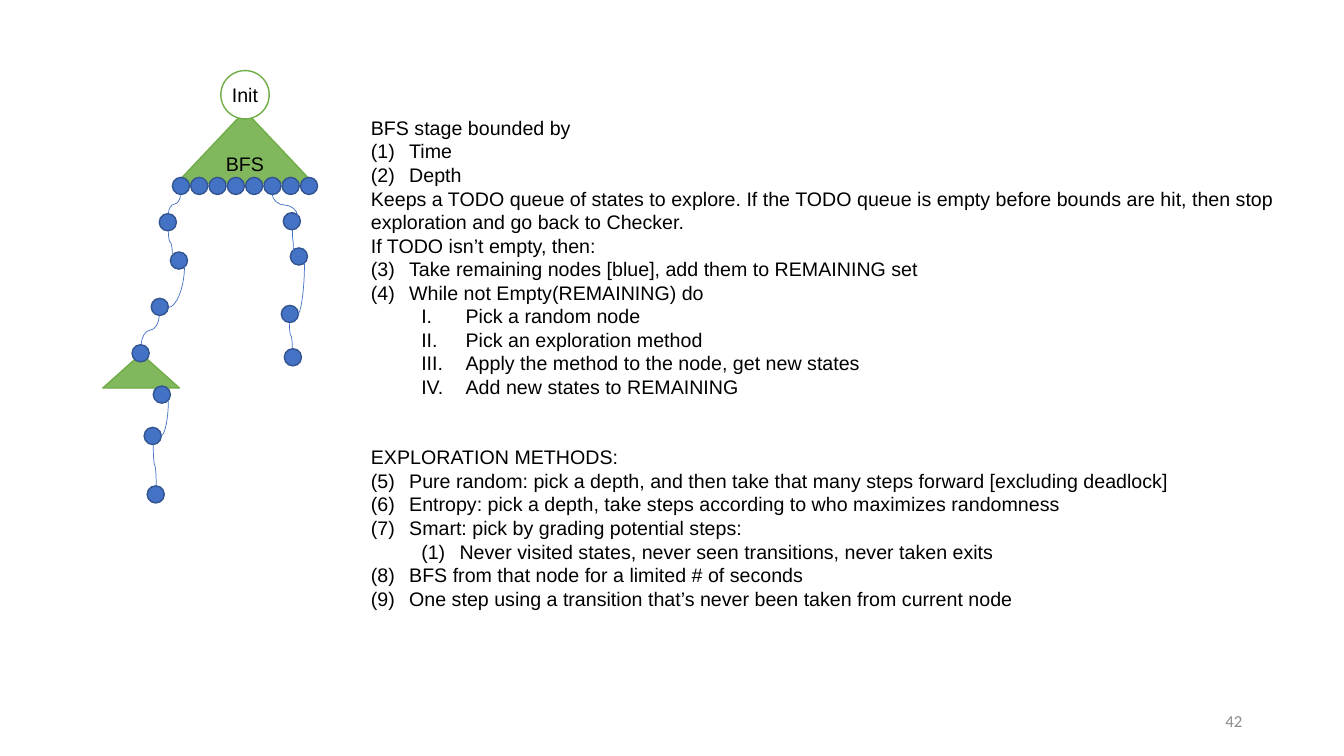
from pptx import Presentation
from pptx.dml.color import RGBColor
from pptx.enum import shapes, text
from pptx.oxml import ns
from pptx.util import Inches, Pt
from lxml import etree

KIND = shapes.MSO_SHAPE
ALIGN = text.PP_ALIGN
GREEN, BLUE = ("81B75D", "70AD47"), ("4472C4", "325491")
DOT = 0.17

deck = Presentation()
deck.slide_width, deck.slide_height = Inches(13.33), Inches(7.5)
slide = deck.slides.add_slide(deck.slide_layouts[6])
items = slide.shapes


def color(target, code):
    """Give a fill or font a solid hex color."""
    if hasattr(target, "solid"):
        target.solid()
        target.fore_color.rgb = RGBColor.from_string(code)
    else:
        target.color.rgb = RGBColor.from_string(code)


def draw(kind, box, paint):
    """Add a preset shape with a fill and a thin outline."""
    item = items.add_shape(kind, *map(Inches, box))
    item.shadow.inherit = False
    color(item.fill, paint[0])
    color(item.line.fill, paint[1])
    item.line.width = Pt(1)


# Search trees and the start node
draw(KIND.ISOSCELES_TRIANGLE, (1.02, 3.51, 0.76, 0.34), GREEN)
draw(KIND.ISOSCELES_TRIANGLE, (1.75, 1.1, 1.36, 0.72), GREEN)
draw(KIND.OVAL, (2.19, 0.7, 0.48, 0.48), ("FFFFFF", GREEN[1]))

# Frontier row, then the left, right and lower walks
row = [(1.71 + 1.27 * i / 7, 1.76) for i in range(8)]
left = [(1.58, 2.12), (1.69, 2.5), (1.5, 2.96), (1.31, 3.42)]
right = [(2.81, 2.11), (2.88, 2.46), (2.79, 3.03), (2.82, 3.46)]
lower = [(1.52, 3.83), (1.43, 4.24), (1.46, 4.82)]
for x, y in row + left + right + lower:
    draw(KIND.OVAL, (x, y, DOT, DOT), BLUE)

# Curves leave downwards: a bend (2) ends sideways, an S (3) ends downwards
curves = [
    (1.79, 1.93, 1.67, 2.12, 3), (1.67, 2.29, 1.71, 2.52, 3),
    (1.83, 2.64, 1.67, 3.05, 2), (1.58, 3.13, 1.4, 3.42, 3),
    (2.9, 2.28, 2.91, 2.49, 3), (3.02, 2.61, 2.95, 3.12, 2),
    (2.87, 3.2, 2.9, 3.46, 3), (2.7, 1.93, 2.95, 2.14, 3),
    (1.67, 3.97, 1.6, 4.32, 2), (1.52, 4.41, 1.55, 4.82, 3),
]
for x1, y1, x2, y2, bend in curves:
    # The frame is turned a quarter, so its width is the drop
    side = 1 if x2 > x1 else -1
    midx, midy = (x1 + x2) / 2, (y1 + y2) / 2
    wide, high = side * (y2 - y1) / 2, abs(x2 - x1) / 2
    ends = (midx + wide, midy - high, midx - wide, midy + high)
    curve = items.add_connector(shapes.MSO_CONNECTOR.CURVE, *map(Inches, ends))
    color(curve.line.fill, BLUE[0])
    curve.line.width = Pt(0.5)
    props = curve._element.spPr
    turn = 270 if side > 0 else 90
    props.find(ns.qn("a:xfrm")).set("rot", str(turn * 60000))
    props.find(ns.qn("a:prstGeom")).set("prst", f"curvedConnector{bend}")
    etree.SubElement(props, ns.qn("a:effectLst"))

# List styles: level, left margin, hanging indent, numbering
STYLES = {
    "plain": (0, 0, 0, None),
    "step": (0, 0.38, -0.38, "arabicParenBoth"),
    "roman": (1, 0.94, -0.44, "romanUcPeriod"),
    "sub": (1, 0.88, -0.38, "arabicParenBoth"),
}
notes = [
    ("plain", "BFS stage bounded by"),
    ("step", "Time"),
    ("step", "Depth"),
    ("plain", "Keeps a TODO queue of states to explore. If the TODO queue is "
     "empty before bounds are hit, then stop exploration and go back to Checker."),
    ("plain", "If TODO isn’t empty, then:"),
    ("step", "Take remaining nodes [blue], add them to REMAINING set"),
    ("step", "While not Empty(REMAINING) do"),
    ("roman", "Pick a random node"),
    ("roman", "Pick an exploration method"),
    ("roman", "Apply the method to the node, get new states"),
    ("roman", "Add new states to REMAINING"),
    ("plain", "EXPLORATION METHODS:"),
    ("step", "Pure random: pick a depth, and then take that many steps forward "
     "[excluding deadlock]"),
    ("step", "Entropy: pick a depth, take steps according to who maximizes randomness"),
    ("step", "Smart: pick by grading potential steps:"),
    ("sub", "Never visited states, never seen transitions, never taken exits"),
    ("step", "BFS from that node for a limited # of seconds"),
    ("step", "One step using a transition that’s never been taken from current node"),
]
main = {"name": "Arial", "size": Pt(14)}
small = {"name": "Calibri", "size": Pt(12)}
texts = [
    ((9.42, 6.95, 3, 0.4), [("plain", "42")], ALIGN.RIGHT, small, "8C8C8C"),
    ((1.95, 0.77, 0.96, 0.34), [("plain", "Init")], ALIGN.CENTER, main, "000000"),
    ((1.95, 1.46, 0.96, 0.34), [("plain", "BFS")], ALIGN.CENTER, main, "000000"),
    ((3.58, 1.1, 9.42, 5.05), notes, ALIGN.LEFT, main, "000000"),
]
for box, lines, align, font, ink in texts:
    frame = items.add_textbox(*map(Inches, box)).text_frame
    frame.word_wrap = True
    if font is small:
        frame.vertical_anchor = text.MSO_ANCHOR.MIDDLE
    for i, (style, words) in enumerate(lines):
        para = frame.add_paragraph() if i else frame.paragraphs[0]
        level, margin, indent, number = STYLES[style]
        para.level, para.alignment = level, align
        if words.startswith("EXPLORATION"):
            para.space_before = Pt(33.6)
        run = para.add_run()
        run.text = words
        for key, value in font.items():
            setattr(run.font, key, value)
        color(run.font, ink)
        if number:
            props = para._p.get_or_add_pPr()
            props.set("marL", str(Inches(margin)))
            props.set("indent", str(Inches(indent)))
            etree.SubElement(props, ns.qn("a:buFont"), typeface="Arial")
            etree.SubElement(props, ns.qn("a:buAutoNum"), type=number)

deck.save("out.pptx")
